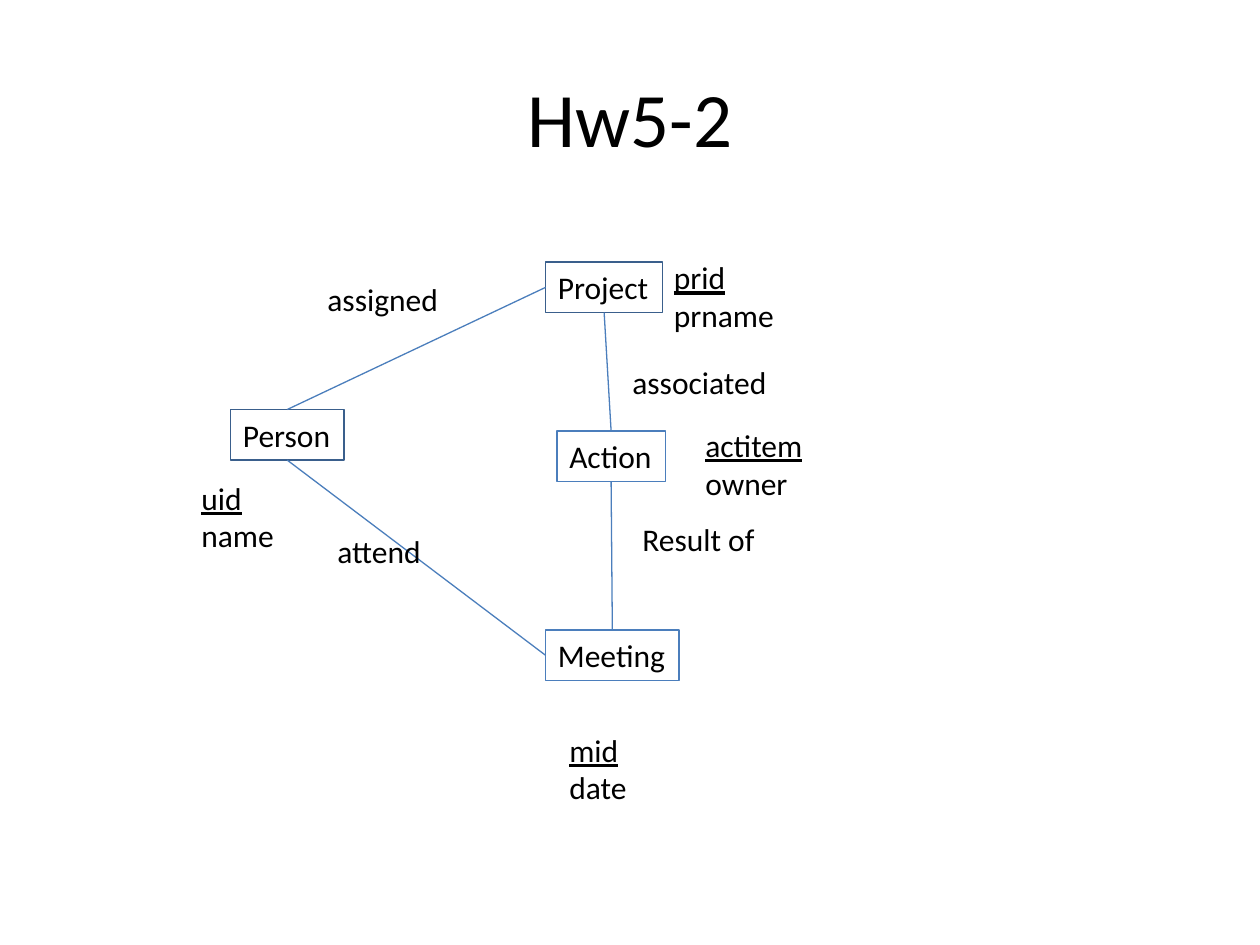
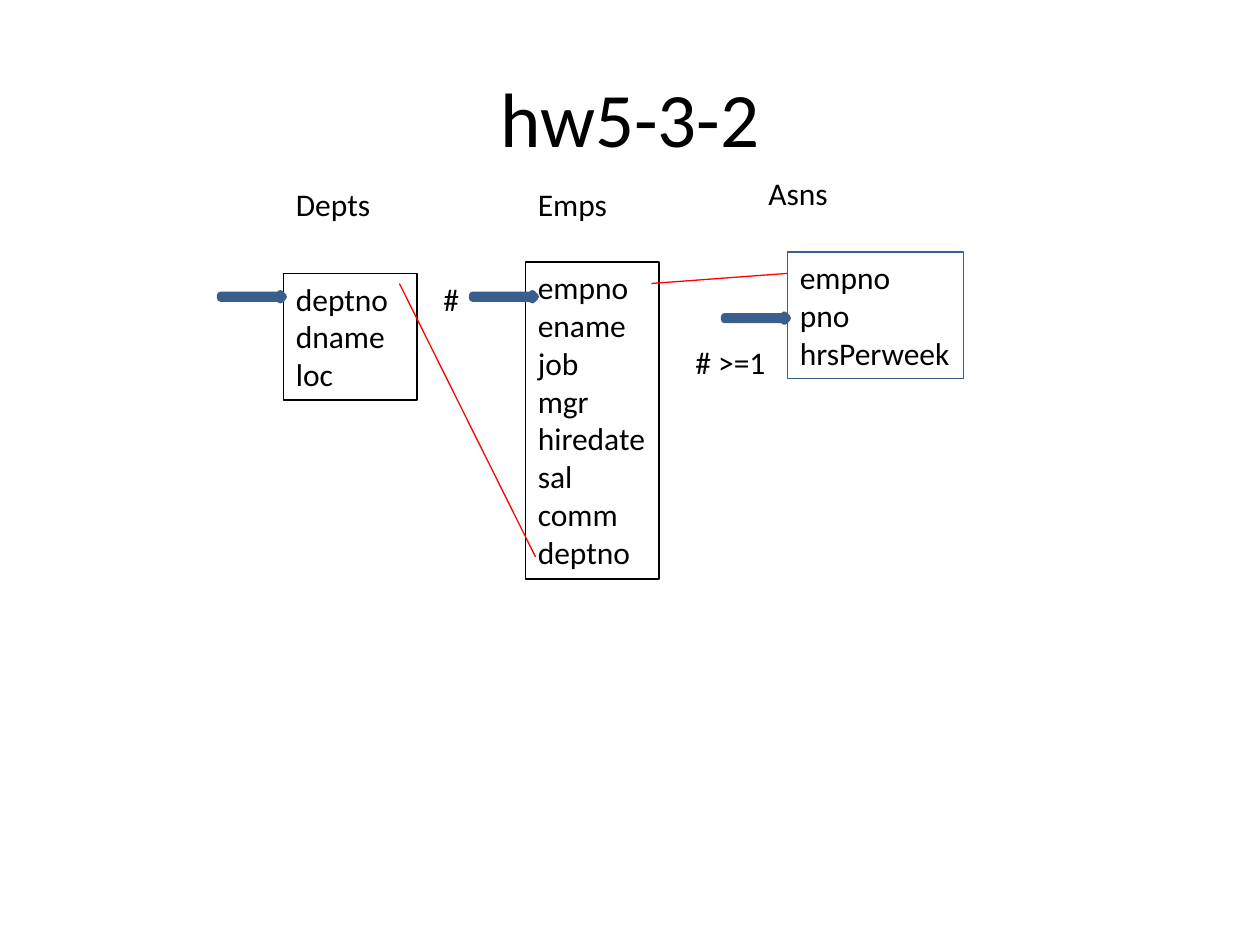
import pptx
import pptx.dml.color
import pptx.enum.shapes
import pptx.enum.text
import pptx.oxml.ns
import pptx.util
from lxml import etree

Inches = pptx.util.Inches
Pt = pptx.util.Pt
Color = pptx.dml.color.RGBColor
ShapeType = pptx.enum.shapes.MSO_SHAPE
Anchor = pptx.enum.text.MSO_ANCHOR
Align = pptx.enum.text.PP_ALIGN
AutoSize = pptx.enum.text.MSO_AUTO_SIZE

THEME = {
    "text": Color.from_string("000000"),
    "dark": Color.from_string("3A5F8C"),
    "blue": Color.from_string("4B7EBC"),
    "red": Color.from_string("FF0000"),
    "font": "Calibri",
    "title_size": Pt(44),
    "body_size": Pt(18),
    "thin": Pt(0.75),
    "thick": Pt(4),
}
PADDING, LINE_HEIGHT = 0.1, 0.302
TOP, LEFT, BOTTOM = 0, 1, 2

ENTITIES = {
    "Person": (1.83, 3.25, 0.9, "dark"),
    "Project": (4.33, 2.08, 0.93, "dark"),
    "Meeting": (4.33, 5, 1.06, "blue"),
    "Action": (4.42, 3.42, 0.86, "blue"),
}
RELATIONS = [
    ("Person", TOP, "Project", LEFT),
    ("Meeting", LEFT, "Person", BOTTOM),
    ("Meeting", TOP, "Action", BOTTOM),
    ("Action", TOP, "Project", BOTTOM),
]
RELATION_NAMES = [
    ("assigned", 2.5, 2.17, 1.09),
    ("attend", 2.58, 4.17, 0.88),
    ("Result of", 5, 4.08, 1.1),
    ("associated", 4.92, 2.83, 1.28),
]
ATTRIBUTES = [
    (["uid", "name"], 1.5, 3.75, 0.78),
    (["prid", "prname"], 5.25, 2, 1),
    (["mid", "date"], 4.42, 5.75, 0.66),
    (["actitem", "owner"], 5.5, 3.33, 1),
]

TABLES = [
    (["deptno", "dname", "loc"], 2.25, 2.17, 1.06, "text", True),
    (["empno", "ename", "job", "mgr", "hiredate", "sal", "comm", "deptno"],
     4.17, 2.08, 1.06, "text", True),
    (["empno", "pno", "hrsPerweek"], 6.25, 2, 1.4, "dark", False),
]
TABLE_LABELS = [
    ("Depts", 2.25, 1.42, 0.94, True),
    ("Emps", 4.17, 1.42, 1.02, True),
    ("Asns", 6, 1.33, 0.68, False),
    ("#", 3.42, 2.17, 0.33, True),
    ("# >=1", 5.42, 2.67, 0.92, True),
]
FOREIGN_KEYS = [(3.17, 2.25, 4.25, 4.42), (5.17, 2.25, 6.25, 2.17)]
KEY_ARROWS = [(1.75, 2.33), (5.75, 2.5), (3.75, 2.33)]
ARROW_SIZE = (0.5, 0.05)


def apply_format(target, values):
    for name, value in values.items():
        setattr(target, name, value)


def set_line(shape, color, width="thin"):
    shape.line.color.rgb = THEME[color]
    shape.line.width = THEME[width]


def write_lines(shape, lines, wrap, size="body_size", underline_first=False,
                align=Align.LEFT, **frame_format):
    frame = shape.text_frame
    apply_format(frame, {"text": "\n".join(lines), "word_wrap": wrap,
                         "vertical_anchor": Anchor.TOP, **frame_format})
    for index, paragraph in enumerate(frame.paragraphs):
        paragraph.alignment = align
        font = paragraph.runs[0].font
        apply_format(font, {"name": THEME["font"], "size": THEME[size]})
        font.color.rgb = THEME["text"]
        if underline_first and index == 0:
            font.underline = True


def add_text(shapes, lines, left, top, width, wrap=False, border=None,
             underline_first=False):
    height = PADDING + LINE_HEIGHT * len(lines)
    place = [Inches(length) for length in (left, top, width, height)]
    if border:
        shape = shapes.add_shape(ShapeType.RECTANGLE, *place)
        shape.shadow.inherit = False
        shape.fill.background()
        set_line(shape, border)
    else:
        shape = shapes.add_textbox(*place)
    write_lines(shape, lines, wrap, underline_first=underline_first,
                auto_size=AutoSize.SHAPE_TO_FIT_TEXT)
    return shape


def add_line(shapes, color, ends=(0, 0, 0, 0)):
    connector = shapes.add_connector(
        pptx.enum.shapes.MSO_CONNECTOR.STRAIGHT, *[Inches(end) for end in ends])
    set_line(connector, color)
    etree.SubElement(connector._element.spPr, pptx.oxml.ns.qn("a:effectLst"))
    return connector


def add_title(slide, title):
    shape = slide.shapes.add_textbox(Inches(0.5), Inches(0.3), Inches(9), Inches(1.25))
    write_lines(shape, [title], True, "title_size", align=Align.CENTER,
                vertical_anchor=Anchor.MIDDLE)


def build_entity_diagram(slide):
    shapes = slide.shapes
    add_title(slide, "Hw5-2")
    boxes = {}
    for name, (left, top, width, border) in ENTITIES.items():
        boxes[name] = add_text(shapes, [name], left, top, width, border=border)
    for start, start_side, end, end_side in RELATIONS:
        connector = add_line(shapes, "blue")
        connector.begin_connect(boxes[start], start_side)
        connector.end_connect(boxes[end], end_side)
    for name, *place in RELATION_NAMES:
        add_text(shapes, [name], *place)
    for lines, *place in ATTRIBUTES:
        add_text(shapes, lines, *place, underline_first=True)


def build_table_diagram(slide):
    shapes = slide.shapes.add_group_shape().shapes
    for lines, left, top, width, border, wrap in TABLES:
        add_text(shapes, lines, left, top, width, wrap, border)
    for label, *place in TABLE_LABELS:
        add_text(shapes, [label], *place)
    for ends in FOREIGN_KEYS:
        add_line(shapes, "red", ends)
    for position in KEY_ARROWS:
        arrow = shapes.add_shape(
            ShapeType.RIGHT_ARROW, *[Inches(length) for length in position + ARROW_SIZE])
        arrow.shadow.inherit = False
        arrow.fill.solid()
        arrow.fill.fore_color.rgb = THEME["blue"]
        set_line(arrow, "dark", "thick")
    add_title(slide, "hw5-3-2")


presentation = pptx.Presentation()
apply_format(presentation, {"slide_width": Inches(10), "slide_height": Inches(7.5)})
for build in (build_entity_diagram, build_table_diagram):
    build(presentation.slides.add_slide(presentation.slide_layouts[6]))
presentation.save("out.pptx")
